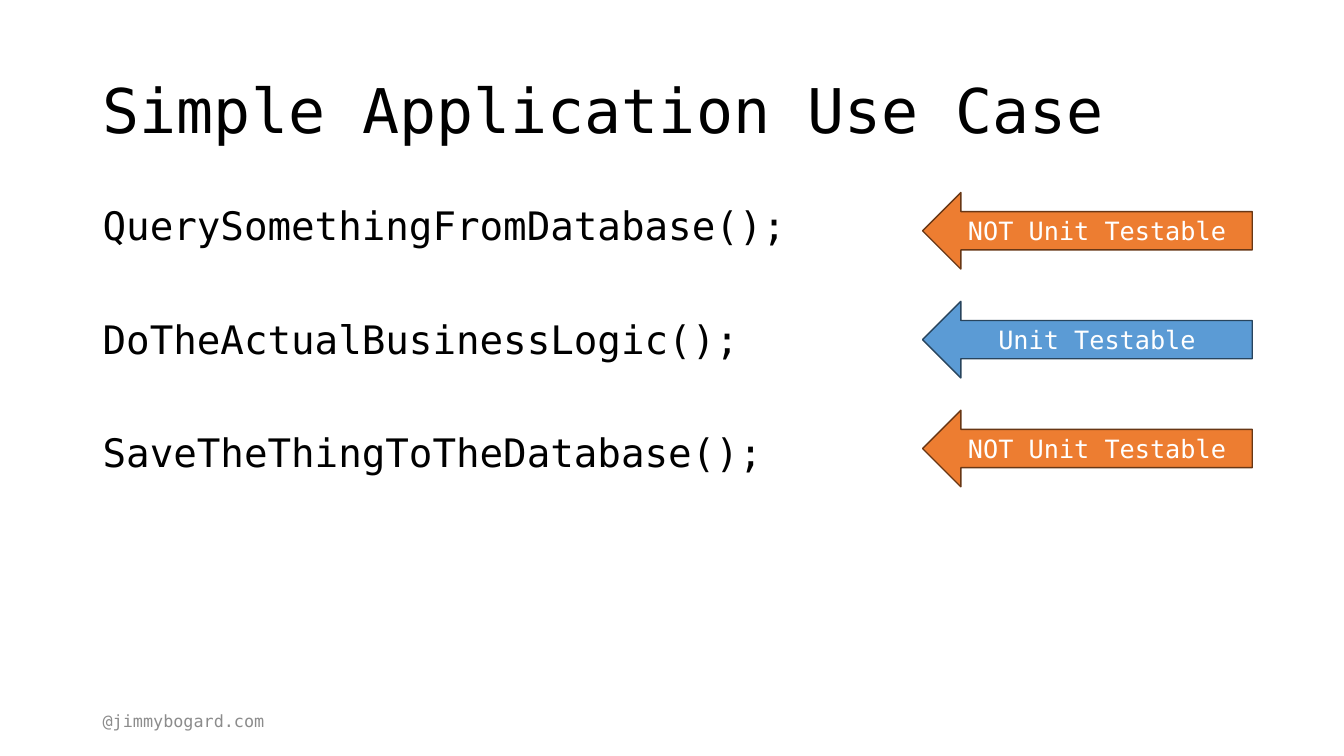
"""Build the "Simple Application Use Case" slide."""
from dataclasses import dataclass

from pptx import Presentation
from pptx import util as u
from pptx.dml.color import RGBColor
from pptx.enum import shapes, text
from pptx.slide import Slide
from pptx.text.text import TextFrame

FONT = "DejaVu Sans Mono"
COLORS = {
    "ink": "000000",
    "muted": "8C8C8C",
    "label": "FFFFFF",
    "orange": "ED7D31",
    "orange_edge": "683715",
    "blue": "5B9BD5",
    "blue_edge": "28445D",
}
MARGIN = 0.92
ARROW_TOP, ARROW_PITCH = 1.91, 1.08
STEP_GAP = 51


@dataclass(frozen=True)
class Step:
    call: str
    verdict: str
    color: str


@dataclass(frozen=True)
class TextBlock:
    lines: list[str]
    top: float
    width: float
    height: float
    size: int
    color: str
    anchor: text.MSO_ANCHOR
    spacing: float = 0.9


STEPS = [
    Step("QuerySomethingFromDatabase();", "NOT Unit Testable", "orange"),
    Step("DoTheActualBusinessLogic();", "Unit Testable", "blue"),
    Step("SaveTheThingToTheDatabase();", "NOT Unit Testable", "orange"),
]
BLOCKS = [
    TextBlock(["Simple Application Use Case"], 0.4, 11.5, 1.45, 44, "ink",
              text.MSO_ANCHOR.MIDDLE),
    TextBlock([step.call for step in STEPS], 2, 11.5, 4.76, 28, "ink",
              text.MSO_ANCHOR.TOP),
    TextBlock(["@jimmybogard.com"], 6.95, 3, 0.4, 12, "muted",
              text.MSO_ANCHOR.MIDDLE, 1.0),
]


def rgb(name: str) -> RGBColor:
    return RGBColor.from_string(COLORS[name])


def write(frame: TextFrame, lines: list[str], size: int, color: str,
          anchor: text.MSO_ANCHOR, align: text.PP_ALIGN, spacing: float) -> None:
    frame.word_wrap = True
    frame.vertical_anchor = anchor
    for index, line in enumerate(lines):
        paragraph = frame.add_paragraph() if index else frame.paragraphs[0]
        paragraph.text = line
        paragraph.alignment = align
        paragraph.line_spacing = spacing
        if index:
            paragraph.space_before = u.Pt(STEP_GAP)
        paragraph.font.name = FONT
        paragraph.font.size = u.Pt(size)
        paragraph.font.color.rgb = rgb(color)


def add_block(slide: Slide, block: TextBlock) -> None:
    box = slide.shapes.add_textbox(u.Inches(MARGIN), u.Inches(block.top),
                                   u.Inches(block.width), u.Inches(block.height))
    write(box.text_frame, block.lines, block.size, block.color, block.anchor,
          text.PP_ALIGN.LEFT, block.spacing)


def add_verdict(slide: Slide, step: Step, top: float) -> None:
    arrow = slide.shapes.add_shape(shapes.MSO_SHAPE.LEFT_ARROW, u.Inches(9.15),
                                   u.Inches(top), u.Inches(3.27), u.Inches(0.76))
    arrow.shadow.inherit = False
    arrow.fill.solid()
    arrow.fill.fore_color.rgb = rgb(step.color)
    arrow.line.color.rgb = rgb(f"{step.color}_edge")
    arrow.line.width = u.Pt(1)
    write(arrow.text_frame, [step.verdict], 18, "label", text.MSO_ANCHOR.MIDDLE,
          text.PP_ALIGN.CENTER, 1.0)


def main() -> None:
    deck = Presentation()
    deck.slide_width, deck.slide_height = u.Inches(13.33), u.Inches(7.5)
    slide = deck.slides.add_slide(deck.slide_layouts[6])
    for block in BLOCKS:
        add_block(slide, block)
    for row, step in enumerate(STEPS):
        add_verdict(slide, step, ARROW_TOP + row * ARROW_PITCH)
    deck.save("out.pptx")


if __name__ == "__main__":
    main()
